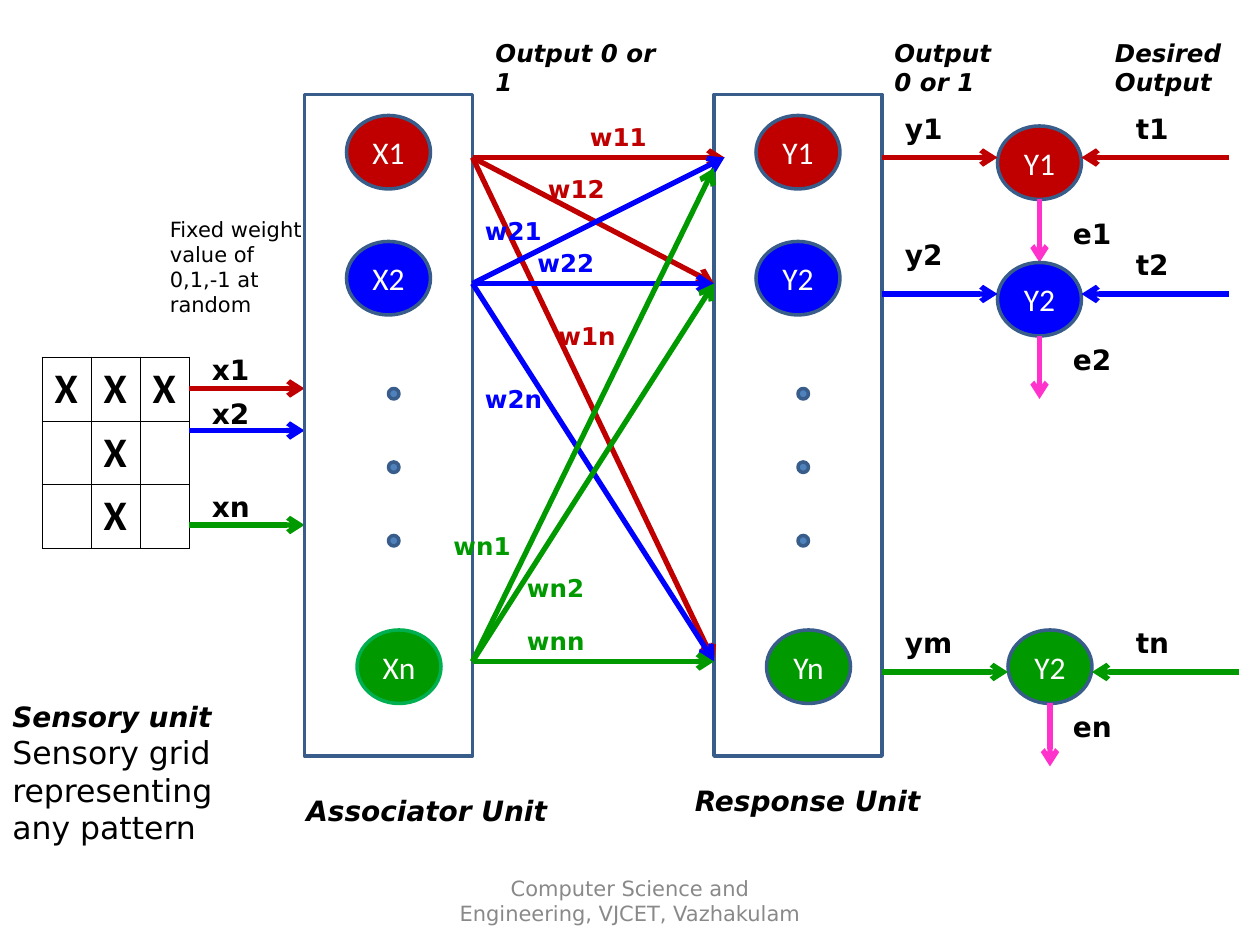
import pptx
import pptx.util
import pptx.dml.color
import pptx.enum.shapes
import pptx.enum.text
import pptx.oxml
import pptx.oxml.ns
from dataclasses import dataclass
from lxml import etree

Pt = pptx.util.Pt
MSO_SHAPE = pptx.enum.shapes.MSO_SHAPE
ALIGN = pptx.enum.text.PP_ALIGN
ANCHOR = pptx.enum.text.MSO_ANCHOR
AUTO_SIZE = pptx.enum.text.MSO_AUTO_SIZE


@dataclass(frozen=True)
class Theme:
    red: str = "C00000"
    blue: str = "0000FF"
    green: str = "009900"
    pink: str = "FF33CC"
    outline: str = "385D8A"
    green_outline: str = "00B050"
    dot: str = "4F81BD"
    black: str = "000000"
    white: str = "FFFFFF"
    grey: str = "898989"
    label_font: str = "DejaVu Sans"
    node_font: str = "Calibri"
    mark_size: float = 24
    body_size: float = 18
    signal_size: float = 16
    weight_size: float = 14
    note_size: float = 12
    arrow_width: float = 3
    outline_width: float = 2
    grid_width: float = 0.45


THEME = Theme()
CHANNELS = (THEME.red, THEME.blue, THEME.green)


def text_format(size, **changes):
    return {"name": THEME.label_font, "size": Pt(size), "bold": False,
            "italic": False, "color": THEME.black, **changes}


NODE = text_format(THEME.body_size, name=THEME.node_font, color=THEME.white)
MARK = text_format(THEME.mark_size, name=THEME.node_font, bold=True)
BODY = text_format(THEME.body_size)
SIGNAL = text_format(THEME.signal_size, bold=True)
UNIT = text_format(THEME.signal_size, bold=True, italic=True)
WEIGHT = text_format(THEME.weight_size, bold=True)
HEADING = text_format(THEME.weight_size, bold=True, italic=True)
NOTE = text_format(THEME.note_size)
FOOTER = text_format(THEME.note_size, color=THEME.grey)


def rgb(value):
    return pptx.dml.color.RGBColor.from_string(value)


def write(paragraph, words, style):
    run = paragraph.add_run()
    run.text = words
    for attribute, value in style.items():
        if attribute == "color":
            run.font.color.rgb = rgb(value)
        else:
            setattr(run.font, attribute, value)


def add_label(slide, box, *lines):
    frame = slide.shapes.add_textbox(*map(Pt, box)).text_frame
    frame.word_wrap = True
    frame.auto_size = AUTO_SIZE.SHAPE_TO_FIT_TEXT
    for index, (words, style) in enumerate(lines):
        write(frame.add_paragraph() if index else frame.paragraphs[0], words, style)
    return frame


def add_outlined(slide, kind, box, fill=None, outline=THEME.outline):
    shape = slide.shapes.add_shape(kind, *map(Pt, box))
    shape.shadow.inherit = False
    if fill:
        shape.fill.solid()
        shape.fill.fore_color.rgb = rgb(fill)
    else:
        shape.fill.background()
    shape.line.color.rgb = rgb(outline)
    shape.line.width = Pt(THEME.outline_width)
    return shape


def add_node(slide, left, top, name, color, outline=THEME.outline):
    node = add_outlined(slide, MSO_SHAPE.OVAL, (left, top, 48, 42), color, outline)
    node.text_frame.vertical_anchor = ANCHOR.MIDDLE
    paragraph = node.text_frame.paragraphs[0]
    paragraph.alignment = ALIGN.CENTER
    write(paragraph, name, NODE)


def add_arrow(slide, start, end, color):
    arrow = slide.shapes.add_connector(
        pptx.enum.shapes.MSO_CONNECTOR.STRAIGHT, *map(Pt, (*start, *end)))
    arrow.line.color.rgb = rgb(color)
    arrow.line.width = Pt(THEME.arrow_width)
    etree.SubElement(arrow.line._get_or_add_ln(), pptx.oxml.ns.qn("a:tailEnd"), type="arrow")
    etree.SubElement(arrow._element.spPr, pptx.oxml.ns.qn("a:effectLst"))


def border_cell(cell):
    properties = cell._tc.get_or_add_tcPr()
    for index, side in enumerate(("lnL", "lnR", "lnT", "lnB")):
        properties.insert(index, pptx.oxml.parse_xml(
            f'<a:{side} {pptx.oxml.ns.nsdecls("a")} w="{int(Pt(THEME.grid_width))}">'
            f'<a:solidFill><a:srgbClr val="{THEME.black}"/></a:solidFill></a:{side}>'))


def sensory_grid(slide, box):
    left, top, width, height = box
    pattern = ("XXX", " X ", " X ")
    grid = slide.shapes.add_table(3, 3, *map(Pt, box)).table
    grid.first_row = grid.horz_banding = False
    for index, marks in enumerate(pattern):
        grid.columns[index].width = Pt(width / 3)
        grid.rows[index].height = Pt(height / 3)
        for column, mark in enumerate(marks):
            cell = grid.cell(index, column)
            cell.fill.background()
            border_cell(cell)
            if mark == "X":
                write(cell.text_frame.paragraphs[0], mark, MARK)
    signals = (("x1", 18, -6), ("x2", 42, 19), ("xn", 96, 72))
    for (name, arrow_y, label_y), color in zip(signals, CHANNELS):
        y = top + arrow_y
        add_arrow(slide, (left + width, y), (left + width + 66, y), color)
        add_label(slide, (left + 90, top + label_y, 48, 27), (name, SIGNAL))


def neuron_unit(slide, box, names, outlines):
    left, top = box[:2]
    add_outlined(slide, MSO_SHAPE.RECTANGLE, box)
    offsets = ((24, 12), (24, 84), (30, 306))
    for (dx, dy), name, color, outline in zip(offsets, names, CHANNELS, outlines):
        add_node(slide, left + dx, top + dy, name, color, outline)
    for step in range(3):
        add_outlined(slide, MSO_SHAPE.OVAL, (left + 48, top + 168 + 42 * step, 6, 6), THEME.dot)


def weights(slide, box):
    left, top, width, height = box
    sources = (0, 72, height)
    links = (
        (("w11", 60, -24, 6, 0), ("w12", 36, 6, 0, 72), ("w1n", 42, 90, 0, height)),
        (("w21", 0, 30, 6, 0), ("w22", 30, 48, 0, 72), ("w2n", 0, 126, 0, height)),
        (("wn1", -18, 210, 0, 6), ("wn2", 24, 234, 0, 72), ("wnn", 24, 264, 0, height)),
    )
    for source, targets, color in zip(sources, links, CHANNELS):
        for name, label_x, label_y, overshoot, target in targets:
            add_arrow(slide, (left, top + source),
                      (left + width + overshoot, top + target), color)
            add_label(slide, (left + label_x, top + label_y, 54, 24),
                      (name, {**WEIGHT, "color": color}))


def comparison(slide, box):
    left, top, width = box[:3]
    rows = (
        ("Y1", "y1", "t1", "e1", 66, 12, 30, 0, 0, 60),
        ("Y2", "y2", "t2", "e2", 66, 90, 108, 72, 78, 132),
        ("Y2", "ym", "tn", "en", 72, 300, 324, 294, 294, 342),
    )
    for row, color in zip(rows, CHANNELS):
        node, output, target, error, node_x, node_y, signal_y, *label_tops = row
        node_left, node_top, y = left + node_x, top + node_y, top + signal_y
        add_node(slide, node_left, node_top, node, color)
        add_arrow(slide, (left, y), (node_left, y), color)
        add_arrow(slide, (node_left + 132, y), (node_left + 48, y), color)
        add_arrow(slide, (node_left + 24, node_top + 42),
                  (node_left + 24, node_top + 78), THEME.pink)
        label_lefts = (6, width - 60, 102)
        for name, dx, dy in zip((output, target, error), label_lefts, label_tops):
            add_label(slide, (left + dx, top + dy, 48, 27), (name, SIGNAL))


def captions(slide, box):
    left, top = box[:2]
    entries = (
        ((276, 18, 120, 24), ("Output 0 or 1", HEADING)),
        ((504, 18, 72, 41), ("Output 0 or 1", HEADING)),
        ((630, 18, 90, 41), ("Desired Output", HEADING)),
        ((90, 120, 90, 50), ("Fixed weight value of 0,1,-1 at random", NOTE)),
        ((0, 396, 132, 91), ("Sensory unit", UNIT),
         ("Sensory grid representing any pattern", BODY)),
        ((168, 450, 156, 27), ("Associator Unit", UNIT)),
        ((390, 444, 156, 27), ("Response Unit", UNIT)),
    )
    for (x, y, width, height), *lines in entries:
        add_label(slide, (left + x, top + y, width, height), *lines)


def footer(slide, box):
    frame = add_label(slide, box, ("Computer Science and Engineering, VJCET, Vazhakulam", FOOTER))
    frame.auto_size = AUTO_SIZE.NONE
    frame.vertical_anchor = ANCHOR.MIDDLE
    frame.paragraphs[0].alignment = ALIGN.CENTER


def main():
    deck = pptx.Presentation()
    deck.slide_width, deck.slide_height = Pt(720), Pt(540)
    slide = deck.slides.add_slide(deck.slide_layouts[6])
    sensory_grid(slide, (24, 204, 84, 108))
    neuron_unit(slide, (174, 54, 96, 378), ("X1", "X2", "Xn"),
                (THEME.outline, THEME.outline, THEME.green_outline))
    neuron_unit(slide, (408, 54, 96, 378), ("Y1", "Y2", "Yn"), (THEME.outline,) * 3)
    weights(slide, (270, 90, 138, 288))
    comparison(slide, (504, 60, 198, 378))
    captions(slide, (0, 0, 720, 540))
    footer(slide, (246, 500, 228, 29))
    deck.save("out.pptx")


if __name__ == "__main__":
    main()
